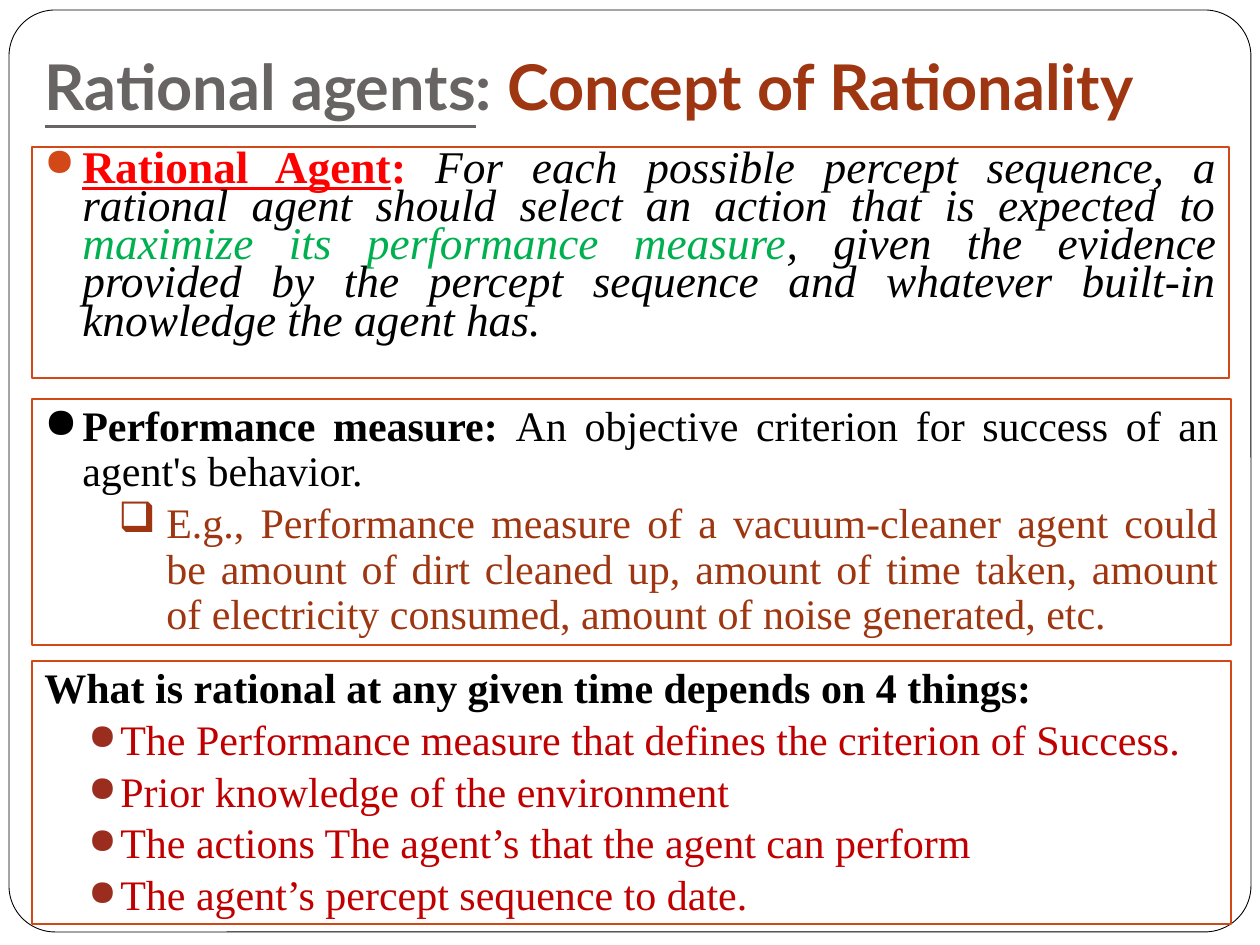
from lxml import etree
from pptx import Presentation
from pptx.dml.color import RGBColor
from pptx.enum.shapes import MSO_SHAPE
from pptx.enum.text import MSO_ANCHOR, MSO_AUTO_SIZE, PP_ALIGN
from pptx.oxml.ns import qn
from pptx.util import Pt

RECT, ROUND = MSO_SHAPE.RECTANGLE, MSO_SHAPE.ROUNDED_RECTANGLE
TOP, BOTTOM = MSO_ANCHOR.TOP, MSO_ANCHOR.BOTTOM
LEFT, JUSTIFY = PP_ALIGN.LEFT, PP_ALIGN.JUSTIFY
FIXED = MSO_AUTO_SIZE.NONE

SCALE = 914400 / 126
SERIF = "Times New Roman"
BLACK, WHITE, GRAY = "000000", "FFFFFF", "696464"
ORANGE, RUST, BRICK = "D34817", "9E3611", "9B2D1F"
RED, CRIMSON, GREEN = "FF0000", "C00000", "00B050"

FRAME = (9, 10, 1242, 922)
TITLE = (32, 32, 1155, 104)
HEAD = [("Rational agents", GRAY, "bu"), (": ", GRAY, "b"),
        ("Concept of Rationality", RUST, "b")]

STYLES = {
    "agent": dict(level=0, left=38, hang=38, space=0.7, before=5.8,
                  mark="●", tint=ORANGE, pct=85),
    "point": dict(level=0, left=38, hang=38, space=0.9, before=5.8,
                  mark="●", tint=BLACK, pct=100),
    "example": dict(level=1, left=122, hang=48, space=0.9, before=3.7,
                    mark="❑", tint=RUST, pct=100),
    "lead": dict(level=0, left=0, hang=0, space=0.9, before=5.8),
    "item": dict(level=1, left=76, hang=32, space=0.9, before=3.7,
                 mark="●", tint=BRICK, pct=85),
}

THINGS = [
    "The Performance measure that defines the criterion of Success.",
    "Prior knowledge of the environment",
    "The actions The agent’s that the agent can perform",
    "The agent’s percept sequence to date.",
]

BOXES = [
    ((32, 147, 1197, 231), 25.9, [
        ("agent", [
            ("Rational Agent", RED, "bu"), (": ", RED, "b"),
            ("For each possible percept sequence, a rational agent should "
             "select an action that is expected to ", BLACK, "i"),
            ("maximize its performance measure", GREEN, "i"),
            (", given the evidence provided by the percept sequence and "
             "whatever built-in knowledge the agent has.", BLACK, "i")]),
    ]),
    ((32, 399, 1199, 246), 24, [
        ("point", [
            ("Performance measure: ", BLACK, "b"),
            ("An objective criterion for success of an agent's behavior.",
             BLACK, "")]),
        ("example", [
            ("E.g., Performance measure of a vacuum-cleaner agent could be "
             "amount of dirt cleaned up, amount of time taken, amount of "
             "electricity consumed, amount of noise generated, etc.",
             RUST, "")]),
    ]),
    ((32, 661, 1199, 263), 24, [
        ("lead", [("What is rational at any given time depends on 4 things:",
                   BLACK, "b")]),
        *[("item", [(thing, CRIMSON, "")]) for thing in THINGS],
    ]),
]


def px(n):
    return round(n * SCALE)


def color(code):
    return RGBColor.from_string(code)


def add_box(shapes, kind, place, edge, width, fill=None):
    box = shapes.add_shape(kind, *map(px, place))
    box.shadow.inherit = False
    if fill:
        box.fill.solid()
        box.fill.fore_color.rgb = color(fill)
    else:
        box.fill.background()
    box.line.color.rgb = color(edge)
    box.line.width = Pt(width)
    return box


def set_frame(frame, anchor, bottom):
    frame.word_wrap = True
    frame.auto_size = FIXED
    frame.vertical_anchor = anchor
    frame.margin_left = frame.margin_right = px(12.6)
    frame.margin_top, frame.margin_bottom = px(6.3), px(bottom)


def add_runs(para, runs, face, size):
    para.font.name, para.font.size = face, Pt(size)
    for text, tint, marks in runs:
        run = para.add_run()
        run.text = text
        font = run.font
        font.name, font.size = face, Pt(size)
        font.color.rgb = color(tint)
        font.bold, font.italic = "b" in marks, "i" in marks
        font.underline = "u" in marks


def set_style(para, level, left, hang, space, before,
              mark=None, tint=None, pct=None):
    para.alignment = JUSTIFY
    para.level = level
    para.line_spacing = space
    para.space_before = Pt(before)
    props = para._p.get_or_add_pPr()
    props.set("marL", str(px(left)))
    props.set("indent", str(-px(hang)))
    if not mark:
        etree.SubElement(props, qn("a:buNone"))
        return
    paint = etree.SubElement(props, qn("a:buClr"))
    etree.SubElement(paint, qn("a:srgbClr"), val=tint)
    etree.SubElement(props, qn("a:buSzPct"), val=str(pct * 1000))
    etree.SubElement(props, qn("a:buChar"), char=mark)


deck = Presentation()
deck.slide_width, deck.slide_height = px(1260), px(945)
slide = deck.slides.add_slide(deck.slide_layouts[5])
title = slide.shapes.title

card = add_box(slide.shapes, ROUND, FRAME, BLACK, 0.51, WHITE)
card.adjustments[0] = 0.05
title._element.addprevious(card._element)

title.left, title.top, title.width, title.height = map(px, TITLE)
set_frame(title.text_frame, BOTTOM, 12.6)
head = title.text_frame.paragraphs[0]
head.alignment = LEFT
add_runs(head, HEAD, "Lato", 36)

for place, size, paras in BOXES:
    frame = add_box(slide.shapes, RECT, place, ORANGE, 0.74).text_frame
    set_frame(frame, TOP, 6.3)
    for i, (style, runs) in enumerate(paras):
        para = frame.add_paragraph() if i else frame.paragraphs[0]
        set_style(para, **STYLES[style])
        add_runs(para, runs, SERIF, size)

deck.save("out.pptx")
